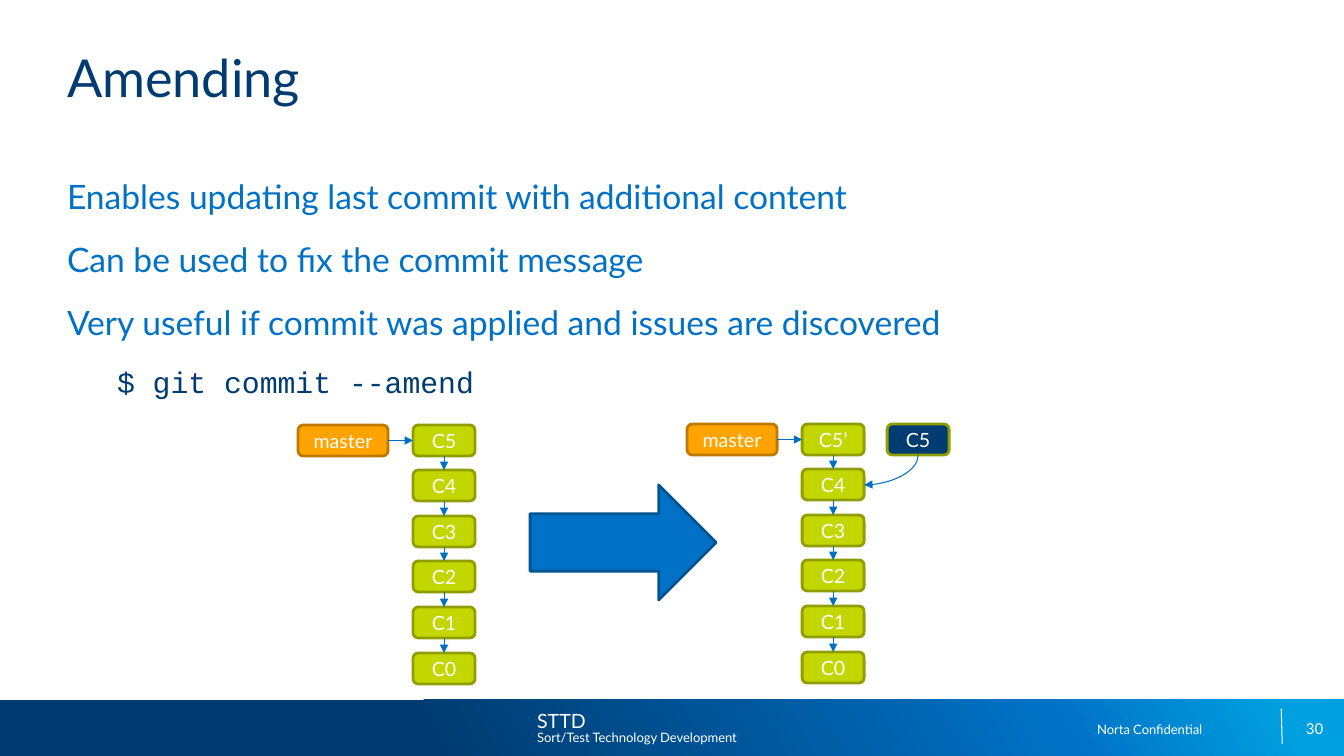
import copy

import pptx
import pptx.dml.color
import pptx.enum.shapes
import pptx.enum.text
import pptx.oxml.ns
import pptx.oxml.xmlchemy
import pptx.util

PX = 9071  # EMU in one px
THEME = {
    "navy": "003C71", "blue": "0071C5", "sky": "009FDF", "white": "FFFFFF",
    "green": "C3D600", "olive": "909E00", "orange": "FFA300", "amber": "BD7900",
    "arrow_edge": "005492", "link": "006FC1",
    "font": "Lato", "code_font": "Courier New",
    "title": 37.3, "body": 24, "code": 21.3, "node": 14, "unit": 14,
    "footer": 9.3, "number": 10.7,
}
RGB = {name: pptx.dml.color.RGBColor.from_string(value)
       for name, value in THEME.items()
       if isinstance(value, str) and "font" not in name}
ALIGN = pptx.enum.text.PP_ALIGN
ANCHOR = pptx.enum.text.MSO_ANCHOR
SHAPE = pptx.enum.shapes.MSO_SHAPE
CONNECTOR = pptx.enum.shapes.MSO_CONNECTOR

deck = pptx.Presentation()
deck.slide_width = pptx.util.Inches(13.33)
deck.slide_height = pptx.util.Inches(7.5)
slide = deck.slides.add_slide(deck.slide_layouts[6])
shapes = slide.shapes


def add_text(box, lines, size, color, align=ALIGN.LEFT, anchor=ANCHOR.TOP):
    """Add a text box without insets, one paragraph per line; box is in px."""
    frame = shapes.add_textbox(*(n * PX for n in box)).text_frame
    frame.word_wrap = True
    frame.vertical_anchor = anchor
    frame.margin_left = frame.margin_right = 0
    frame.margin_top = frame.margin_bottom = 0
    frame.text = "\n".join(lines)
    for paragraph in frame.paragraphs:
        paragraph.alignment = align
        paragraph.font.name = THEME["font"]
        paragraph.font.size = pptx.util.Pt(THEME[size])
        paragraph.font.color.rgb = RGB[color]
    return frame


def add_block(kind, box, fill, edge, label=""):
    """Add an outlined shape with a centred label; box is in px."""
    block = shapes.add_shape(kind, *(n * PX for n in box))
    block.shadow.inherit = False
    block.fill.solid()
    block.fill.fore_color.rgb = RGB[fill]
    block.line.color.rgb = RGB[edge]
    block.line.width = pptx.util.Pt(2)
    block.text_frame.vertical_anchor = ANCHOR.MIDDLE
    paragraph = block.text_frame.paragraphs[0]
    paragraph.text = label
    paragraph.alignment = ALIGN.CENTER
    paragraph.font.name = THEME["font"]
    paragraph.font.size = pptx.util.Pt(THEME["node"])
    paragraph.font.color.rgb = RGB["white"]
    return block


# Footer band
band = shapes.add_shape(SHAPE.RECTANGLE, 0, 700 * PX, deck.slide_width, 56 * PX)
band.shadow.inherit = False
band.line.fill.background()
band.fill.gradient()
band.fill.gradient_angle = 29
stop_list = band.element.spPr.find(".//" + pptx.oxml.ns.qn("a:gsLst"))
stop_list.append(copy.deepcopy(stop_list[-1]))
footer_stops = [(0.32, "navy"), (0.78, "blue"), (0.95, "sky")]
for stop, (position, color) in zip(band.fill.gradient_stops, footer_stops):
    stop.position = position
    stop.color.rgb = RGB[color]

divider = shapes.add_connector(
    CONNECTOR.STRAIGHT, 1281 * PX, 709 * PX, 1282 * PX, 744 * PX)
add_text((537, 709, 100, 24), ["STTD"], "unit", "white")
add_text((537, 730, 269, 16), ["Sort/Test Technology Development"], "footer", "white")
add_text((1034, 722, 168, 16), ["Norta Confidential"], "footer", "white", ALIGN.RIGHT)
add_text((1010, 709, 313, 40), ["30"], "number", "white", ALIGN.RIGHT, ANCHOR.MIDDLE)

# Title and points
add_text((67, 45, 1210, 128), ["Amending"], "title", "navy")
points = add_text((67, 176, 1210, 504), [
    "Enables updating last commit with additional content",
    "Can be used to fix the commit message",
    "Very useful if commit was applied and issues are discovered",
    "$ git commit --amend",
], "body", "blue")
for point in points.paragraphs[1:]:
    point.space_before = pptx.util.Pt(16)
command = points.paragraphs[-1]
command.level = 1
command._p.get_or_add_pPr().set("marL", str(50 * PX))
command.font.name = THEME["code_font"]
command.font.size = pptx.util.Pt(THEME["code"])
command.font.color.rgb = RGB["navy"]

# Commit histories before and after the amend
COMMIT_W, COMMIT_H, BRANCH_W = 62, 31, 90
BEFORE_X, AFTER_X, AFTER_Y, REPLACED_X = 413, 802, 424, 887
links = []
for left, top, newest in [(BEFORE_X, 425, "C5"), (AFTER_X, AFTER_Y, "C5’")]:
    commits = [
        add_block(SHAPE.ROUNDED_RECTANGLE,
                  (left, top + 228 * row // 5, COMMIT_W, COMMIT_H),
                  "green", "olive", label)
        for row, label in enumerate([newest, "C4", "C3", "C2", "C1", "C0"])
    ]
    branch = add_block(SHAPE.ROUNDED_RECTANGLE,
                       (left - 115, top, BRANCH_W, COMMIT_H),
                       "orange", "amber", "master")
    joints = [(child, 2, parent, 0) for child, parent in zip(commits, commits[1:])]
    joints.append((branch, 3, commits[0], 1))
    for start, start_side, end, end_side in joints:
        link = shapes.add_connector(CONNECTOR.STRAIGHT, 0, 0, 0, 0)
        link.begin_connect(start, start_side)
        link.end_connect(end, end_side)
        links.append(link)

add_block(SHAPE.ROUNDED_RECTANGLE, (REPLACED_X, AFTER_Y, COMMIT_W, COMMIT_H),
          "navy", "olive", "C5")
add_block(SHAPE.RIGHT_ARROW, (530, 485, 186, 115), "blue", "arrow_edge")

# Quarter turn from the replaced commit down to C4, drawn rotated by 90 degrees
curve_left = AFTER_X + COMMIT_W
curve_top = AFTER_Y + COMMIT_H
run = REPLACED_X + COMMIT_W // 2 - curve_left
drop = 30
turn_left = curve_left + (run - drop) // 2
turn_top = curve_top - (run - drop) // 2
curve = shapes.add_connector(CONNECTOR.CURVE, turn_left * PX, turn_top * PX,
                             (turn_left + drop) * PX, (turn_top + run) * PX)
curve.element.spPr.find(pptx.oxml.ns.qn("a:prstGeom")).set("prst", "curvedConnector2")
curve.element.spPr.find(pptx.oxml.ns.qn("a:xfrm")).set("rot", str(90 * 60000))
links.append(curve)

for line, color in [(divider, "white")] + [(link, "link") for link in links]:
    line.line.color.rgb = RGB[color]
    line.line.width = pptx.util.Pt(0.75)
    if line is not divider:
        head = pptx.oxml.xmlchemy.OxmlElement("a:tailEnd")
        head.set("type", "triangle")
        line.line._get_or_add_ln().append(head)
    line.element.spPr.append(pptx.oxml.xmlchemy.OxmlElement("a:effectLst"))

deck.save("out.pptx")
